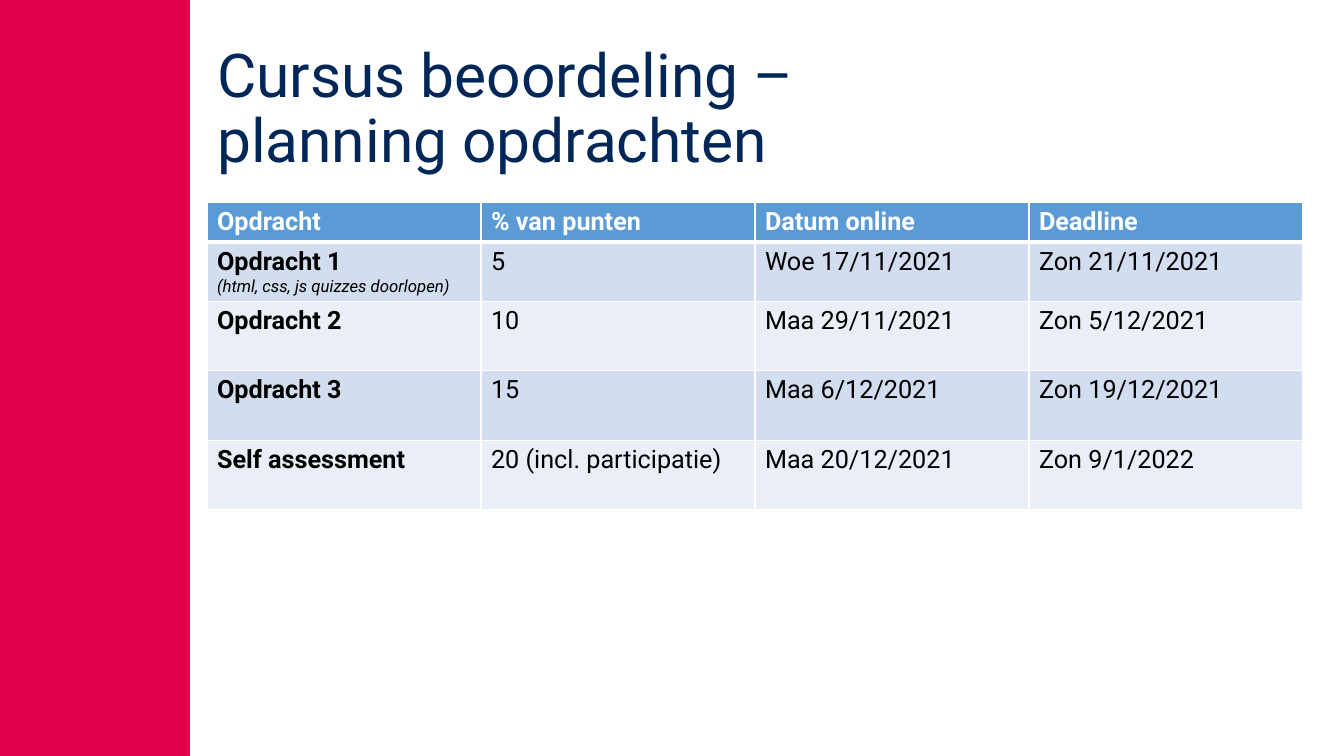
from dataclasses import dataclass

from lxml.etree import SubElement
from pptx import Presentation
from pptx.dml.color import RGBColor
from pptx.enum.shapes import MSO_SHAPE as Shape
from pptx.enum.text import MSO_ANCHOR as Anchor, MSO_AUTO_SIZE as Fit, PP_ALIGN as Align
from pptx.oxml.ns import qn
from pptx.util import Emu, Pt

SCALE = 12192000 / 1344
FONT = "Roboto"
RED, NAVY, BLUE, WHITE, BLACK = "E00049", "002757", "5B9BD5", "FFFFFF", "000000"
BANDS = ("D2DEEF", "EAEFF7")
LEFT, WIDTH = 207, 1096


@dataclass
class Row:
    cells: tuple[str, ...]
    height: int
    note: str = ""


ROWS = [
    Row(("Opdracht", "% van punten", "Datum online", "Deadline"), 40),
    Row(("Opdracht 1", "5", "Woe 17/11/2021", "Zon 21/11/2021"), 59,
        "(html, css, js quizzes doorlopen)"),
    Row(("Opdracht 2", "10", "Maa 29/11/2021", "Zon 5/12/2021"), 69),
    Row(("Opdracht 3", "15", "Maa 6/12/2021", "Zon 19/12/2021"), 70),
    Row(("Self assessment", "20 (incl. participatie)", "Maa 20/12/2021", "Zon 9/1/2022"), 69),
]


def px(n: int) -> Emu:
    return Emu(round(n * SCALE))


def paint(fill, color: str) -> None:
    fill.solid()
    fill.fore_color.rgb = RGBColor.from_string(color)


def write(par, text: str, size: float = 18, color: str = BLACK,
          bold: bool = False, italic: bool = False) -> None:
    par.text = text
    for run in par.runs:
        font = run.font
        font.name, font.size = FONT, Pt(size)
        font.bold, font.italic = bold, italic
        font.color.rgb = RGBColor.from_string(color)


def edge(cell, side: str, width: float) -> None:
    """Add a white border; call before filling the cell."""
    line = SubElement(cell._tc.get_or_add_tcPr(), qn(f"a:ln{side}"), w=str(Pt(width)))
    fill = SubElement(line, qn("a:solidFill"))
    SubElement(fill, qn("a:srgbClr"), val=WHITE)


def add_bar(slide) -> None:
    bar = slide.shapes.add_shape(Shape.RECTANGLE, 0, 0, px(190), px(756))
    bar.shadow.inherit = False
    paint(bar.fill, RED)
    bar.line.fill.background()
    slide.shapes.title.element.addprevious(bar.element)


def add_title(slide) -> None:
    title = slide.shapes.title
    title.left, title.top = px(LEFT), px(40)
    title.width, title.height = px(WIDTH), px(141)
    frame = title.text_frame
    frame.word_wrap, frame.auto_size = True, Fit.NONE
    frame.vertical_anchor = Anchor.MIDDLE
    par = frame.paragraphs[0]
    par.alignment, par.line_spacing = Align.LEFT, 0.9
    write(par, "Cursus beoordeling – \vplanning opdrachten", size=43.2, color=NAVY)


def add_plan(slide) -> None:
    cols = len(ROWS[0].cells)
    high = sum(row.height for row in ROWS)
    table = slide.shapes.add_table(
        len(ROWS), cols, px(LEFT), px(202), px(WIDTH), px(high)).table
    for i, row in enumerate(ROWS):
        table.rows[i].height = px(row.height)
        head = i == 0
        for j, text in enumerate(row.cells):
            cell = table.cell(i, j)
            for side in "LRTB":
                thick = (i, side) in ((0, "B"), (1, "T"))
                edge(cell, side, 3 if thick else 1)
            paint(cell.fill, BLUE if head else BANDS[(i - 1) % 2])
            frame = cell.text_frame
            write(frame.paragraphs[0], text, color=WHITE if head else BLACK,
                  bold=head or j == 0)
            if row.note and j == 0:
                write(frame.add_paragraph(), row.note, size=12, italic=True)


def main() -> None:
    deck = Presentation()
    deck.slide_width, deck.slide_height = px(1344), px(756)
    slide = deck.slides.add_slide(deck.slide_layouts[5])
    add_bar(slide)
    add_title(slide)
    add_plan(slide)
    deck.save("out.pptx")


if __name__ == "__main__":
    main()
